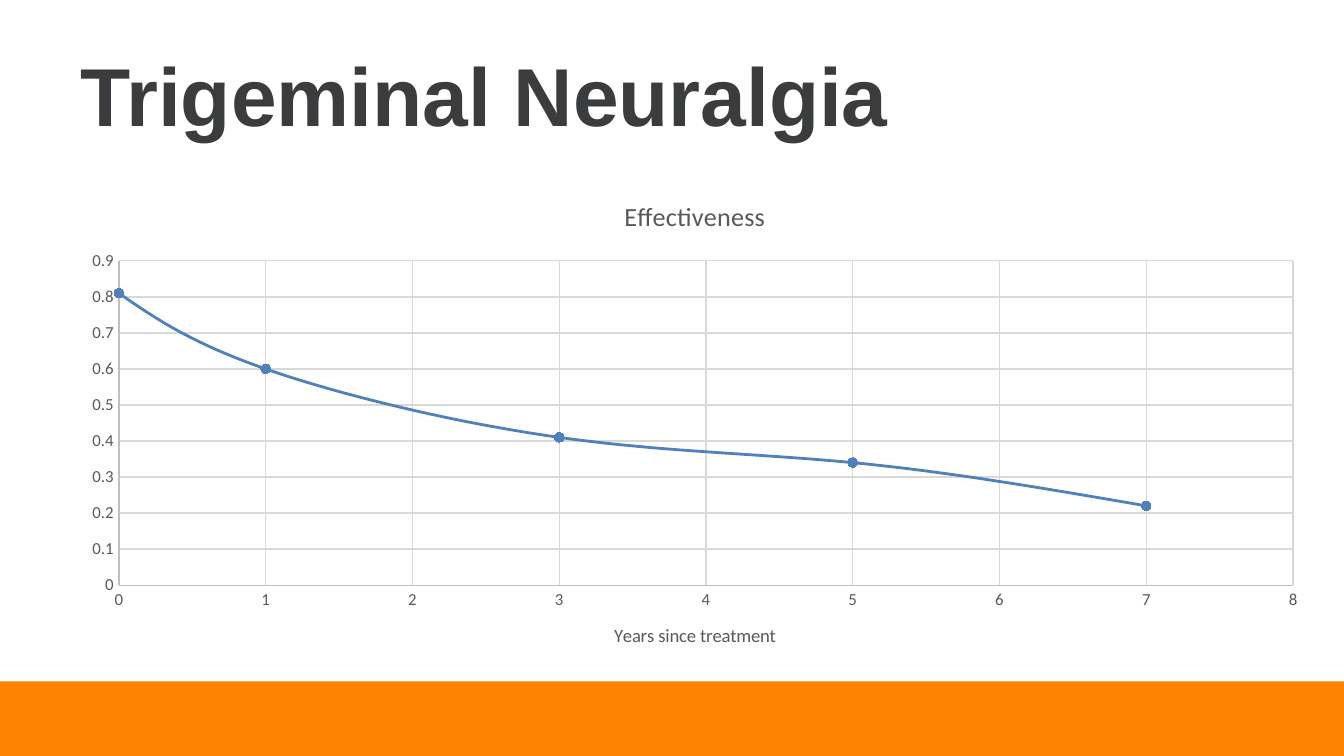
from pptx import Presentation
from pptx.chart.data import XyChartData
from pptx.dml.color import RGBColor
from pptx.enum.chart import XL_CHART_TYPE as ChartType, XL_MARKER_STYLE as Marker, XL_TICK_MARK as Tick
from pptx.enum.shapes import MSO_SHAPE as Shape
from pptx.enum.text import MSO_ANCHOR as Anchor, PP_ALIGN as Align
from pptx.util import Inches, Pt

TITLE = "Trigeminal Neuralgia"
SERIES_NAME = "Effectiveness"
AXIS_TITLE = "Years since treatment"
POINTS = [(0, 0.81), (1, 0.6), (3, 0.41), (5, 0.34), (7, 0.22)]
COLORS = {
    "band": "FF8200", "title": "3B3C3E", "label": "595959",
    "axis": "BFBFBF", "grid": "D9D9D9", "series": "4F81BD",
}


def color(name):
    return RGBColor.from_string(COLORS[name])


def style_font(font, name, size, color_name, bold=False):
    font.name, font.size, font.bold = name, Pt(size), bold
    font.color.rgb = color(color_name)


def style_line(line, color_name, width):
    line.color.rgb = color(color_name)
    line.width = Pt(width)


def style_axis(axis, maximum, step):
    axis.minimum_scale, axis.maximum_scale, axis.major_unit = 0, maximum, step
    axis.major_tick_mark = axis.minor_tick_mark = Tick.NONE
    axis.has_major_gridlines = True
    style_line(axis.major_gridlines.format.line, "grid", 0.75)
    style_line(axis.format.line, "axis", 0.75)
    style_font(axis.tick_labels.font, "Calibri", 9, "label")
    axis.tick_labels.number_format = "General"
    axis.tick_labels.number_format_is_linked = False


def set_caption(caption, text, size):
    caption.text_frame.text = text
    style_font(caption.text_frame.paragraphs[0].font, "Calibri", size, "label")


def add_band(slide, slide_height):
    top = Inches(5.07)
    band = slide.shapes.add_shape(Shape.RECTANGLE, 0, top, Inches(10), slide_height - top)
    band.shadow.inherit = False
    band.fill.solid()
    band.fill.fore_color.rgb = color("band")
    band.line.fill.background()


def add_title(slide):
    title = slide.shapes.title
    title.left, title.top, title.width, title.height = map(Inches, (0.5, 0.23, 9, 0.94))
    title.text_frame.text = TITLE
    title.text_frame.vertical_anchor = Anchor.MIDDLE
    paragraph = title.text_frame.paragraphs[0]
    paragraph.alignment = Align.LEFT
    style_font(paragraph.font, "Arial", 44, "title", bold=True)


def add_effectiveness_chart(slide):
    data = XyChartData()
    effectiveness = data.add_series(SERIES_NAME)
    for year, value in POINTS:
        effectiveness.add_data_point(year, value)
    chart = slide.shapes.add_chart(
        ChartType.XY_SCATTER_SMOOTH, Inches(0.5), Inches(1.31), Inches(9.34), Inches(3.71), data
    ).chart
    chart.font.name, chart.font.size = "Calibri", Pt(10)
    chart.has_legend = False
    chart.has_title = True
    set_caption(chart.chart_title, SERIES_NAME, 14)
    style_axis(chart.category_axis, 8, 1)
    style_axis(chart.value_axis, 0.9, 0.1)
    set_caption(chart.category_axis.axis_title, AXIS_TITLE, 10)

    plot = chart.plots[0]
    plot.vary_by_categories = False
    series = plot.series[0]
    series._element.get_or_add_smooth().val = True
    style_line(series.format.line, "series", 1.5)
    series.marker.style, series.marker.size = Marker.CIRCLE, 5
    series.marker.format.fill.solid()
    series.marker.format.fill.fore_color.rgb = color("series")
    style_line(series.marker.format.line, "series", 0.75)


def main():
    """Build the treatment effectiveness slide."""
    presentation = Presentation()
    presentation.slide_width = Inches(10)
    presentation.slide_height = Inches(10) * 9 // 16
    slide = presentation.slides.add_slide(presentation.slide_layouts[5])
    add_band(slide, presentation.slide_height)
    add_title(slide)
    add_effectiveness_chart(slide)
    presentation.save("out.pptx")


if __name__ == "__main__":
    main()
